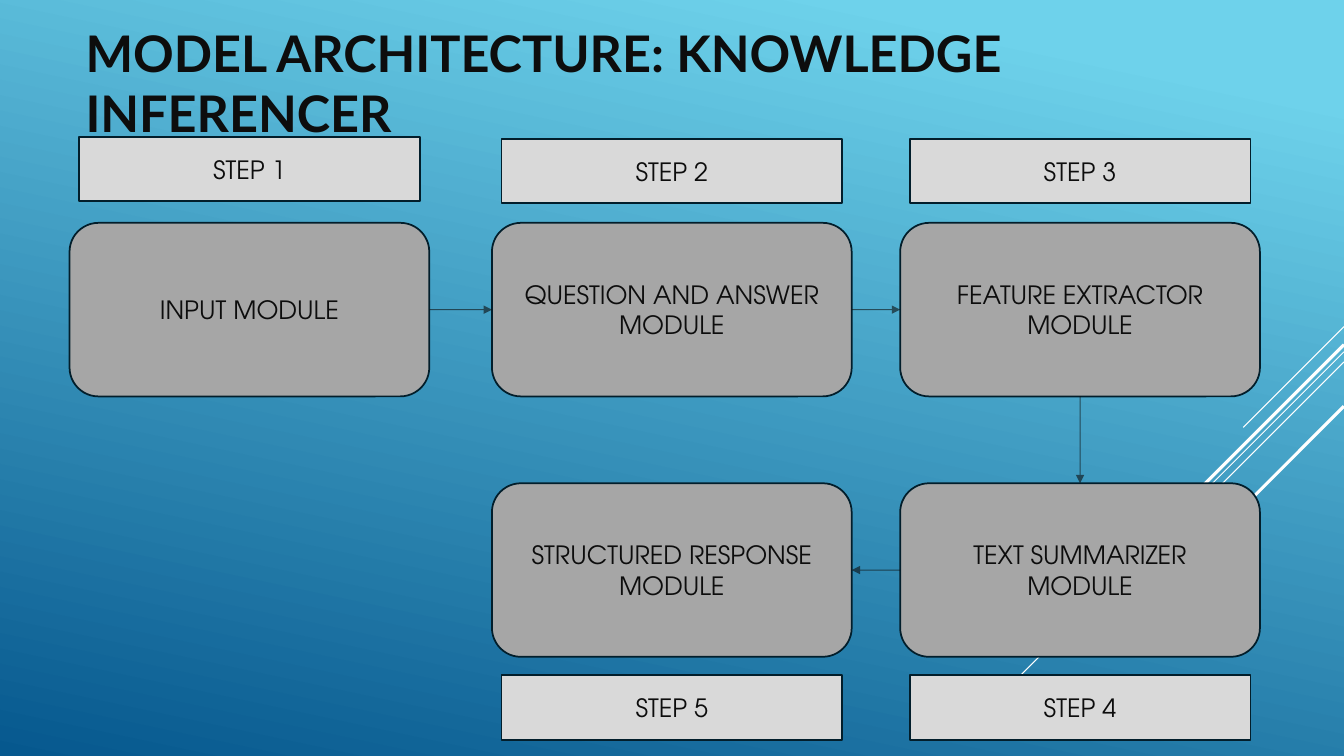
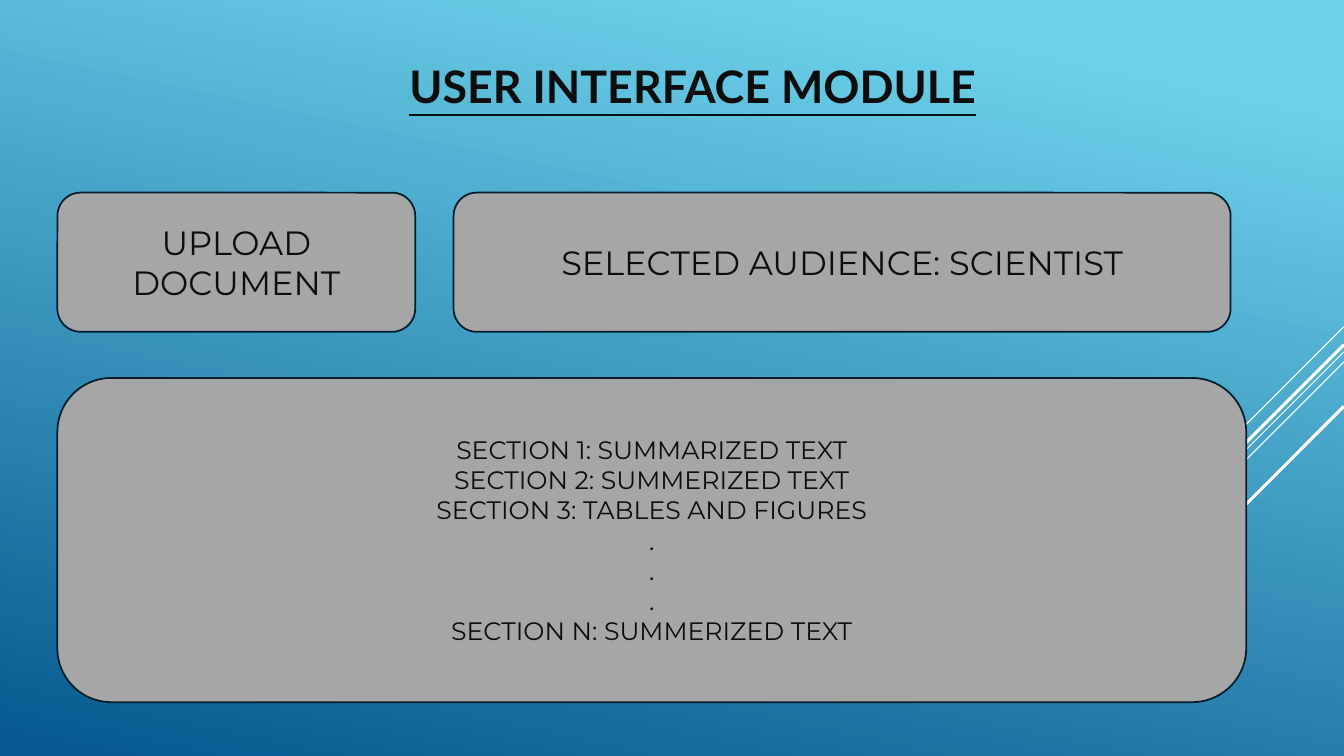
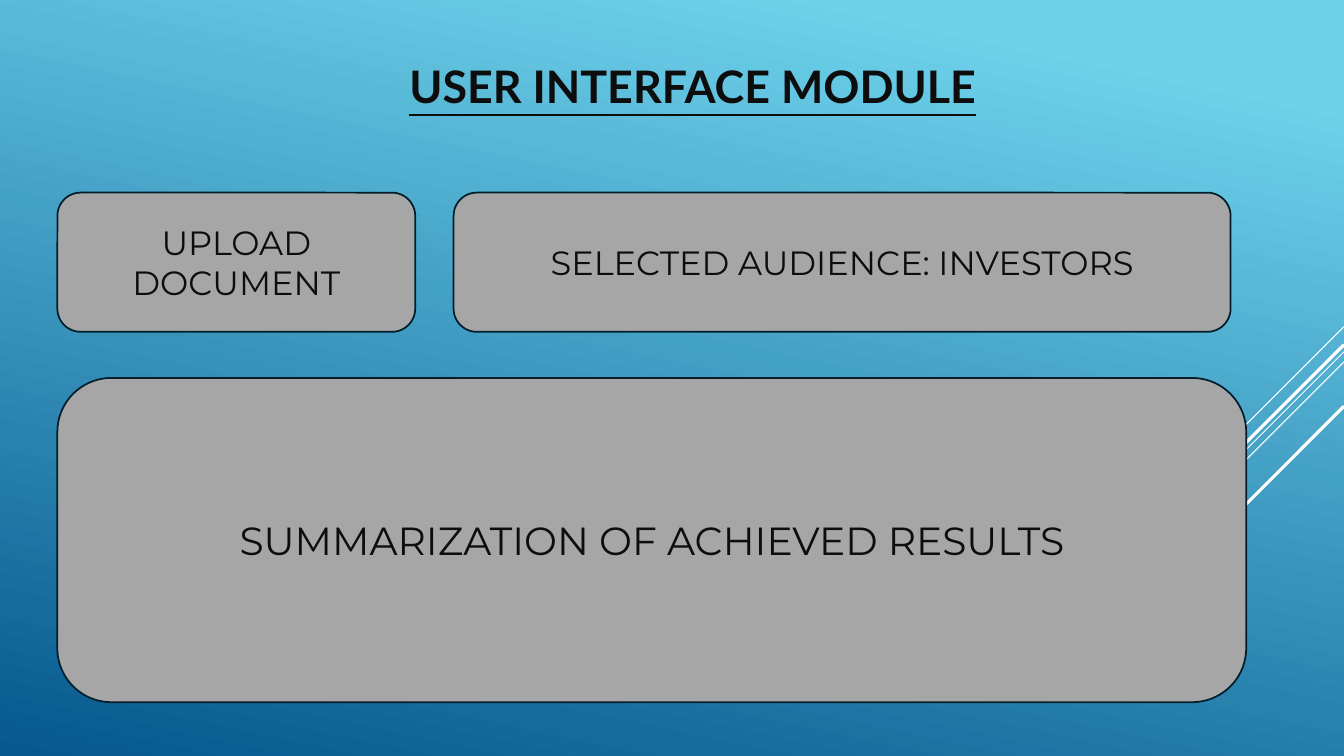
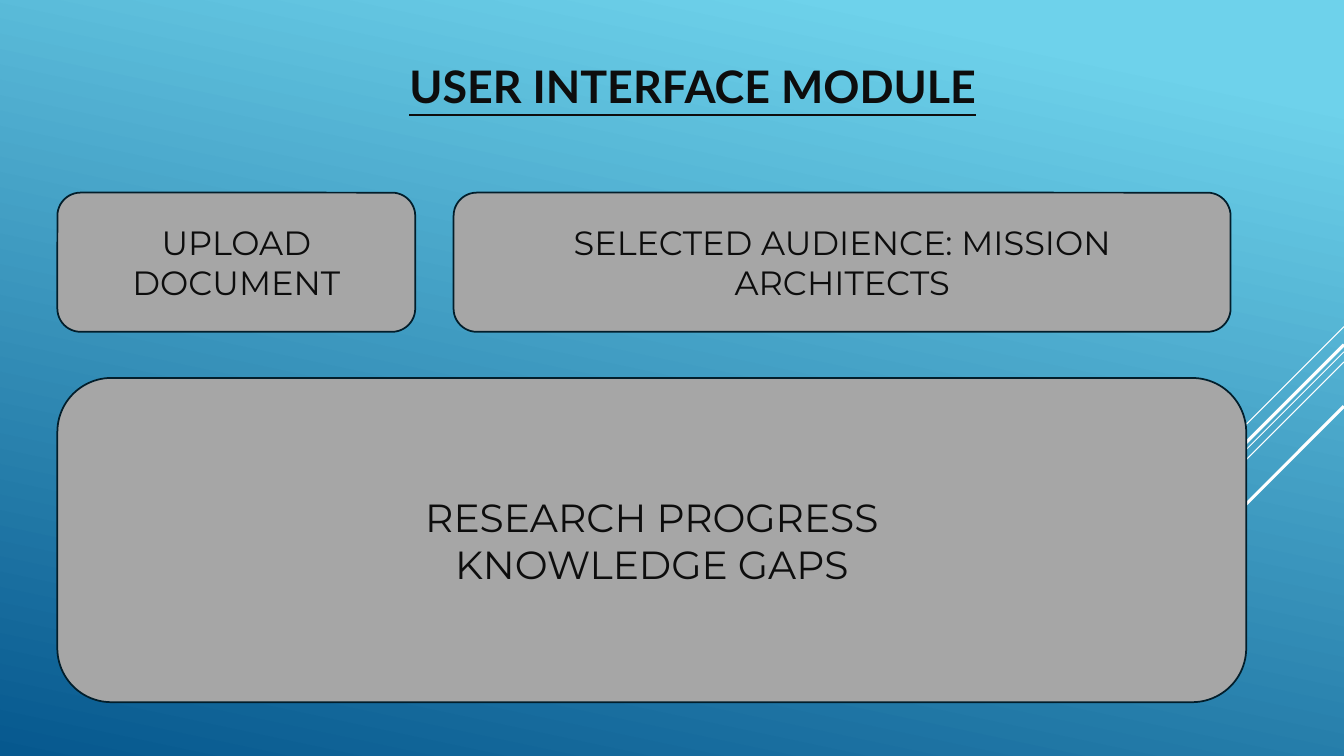
from collections import namedtuple

from lxml.etree import SubElement
from pptx import Presentation
from pptx.dml.color import RGBColor
from pptx.enum.shapes import MSO_CONNECTOR, MSO_SHAPE
from pptx.enum.text import MSO_ANCHOR, PP_ALIGN
from pptx.oxml.ns import qn
from pptx.util import Pt

# Shared look
SKY = RGBColor(0x6E, 0xD2, 0xEB)
DEEP_BLUE = RGBColor(0x06, 0x58, 0x8E)
WHITE = RGBColor(0xFF, 0xFF, 0xFF)
INK = RGBColor(0x0D, 0x0D, 0x0D)
OUTLINE = RGBColor(0x02, 0x1E, 0x2B)
PANEL_GREY = RGBColor(0xA6, 0xA6, 0xA6)
LABEL_GREY = RGBColor(0xD9, 0xD9, 0xD9)
TITLE_FONT = "Lato"
FLOW_FONT = "TeX Gyre Adventor"
SCREEN_FONT = "Montserrat"

Box = namedtuple("Box", "left top width height")
PAGE = Box(0, 0, 960, 540)
# Diagonal rays from the right edge: start height, reach, line width
RAYS = [(233.3, 72, 0.75), (251.3, 234.7, 0.75), (258.5, 149.3, 0.75),
        (246.2, 137.5, 2.25), (290.2, 100, 2.25)]


def points(box):
    return [Pt(length) for length in box]


def write_text(holder, text, *, size, font, align=PP_ALIGN.CENTER,
               anchor=MSO_ANCHOR.MIDDLE, bold=False, underline=False):
    """Fill a shape with one paragraph for each line of text."""
    frame = holder.text_frame
    frame.word_wrap = True
    frame.vertical_anchor = anchor
    for number, line in enumerate(text.split("\n")):
        paragraph = frame.paragraphs[0] if number == 0 else frame.add_paragraph()
        paragraph.alignment = align
        run = paragraph.add_run()
        run.text = line
        run.font.size = Pt(size)
        run.font.name = font
        run.font.bold = bold
        run.font.underline = underline
        run.font.color.rgb = INK


def add_panel(slide, box, text, *, preset=MSO_SHAPE.ROUNDED_RECTANGLE,
              fill=PANEL_GREY, **text_format):
    panel = slide.shapes.add_shape(preset, *points(box))
    panel.shadow.inherit = False
    panel.fill.solid()
    panel.fill.fore_color.rgb = fill
    panel.line.color.rgb = OUTLINE
    panel.line.width = Pt(1.25)
    write_text(panel, text, **text_format)
    return panel


def add_title(slide, box, text, **text_format):
    title = slide.shapes.add_textbox(*points(box))
    write_text(title, text, font=TITLE_FONT, bold=True,
               anchor=MSO_ANCHOR.TOP, **text_format)


def add_line(slide, start, end, color, width):
    line = slide.shapes.add_connector(
        MSO_CONNECTOR.STRAIGHT, *points(start + end))
    line.line.color.rgb = color
    line.line.width = Pt(width)
    SubElement(line._element.spPr, qn("a:effectLst"))
    return line


def add_arrow(slide, source, source_site, target, target_site):
    arrow = add_line(slide, (0, 0), (0, 0), INK, 0.75)
    arrow.begin_connect(source, source_site)
    arrow.end_connect(target, target_site)
    outline = arrow.line._get_or_add_ln()
    SubElement(outline.find(".//" + qn("a:srgbClr")), qn("a:alpha"), val="60000")
    SubElement(outline, qn("a:tailEnd"), type="triangle")


def set_background(master):
    fill = master.background.fill
    fill.gradient()
    fill.gradient_angle = 258
    for stop, color, position in zip(fill.gradient_stops,
                                     (SKY, DEEP_BLUE), (0.1, 1)):
        stop.color.rgb = color
        stop.position = position


def add_page(deck):
    slide = deck.slides.add_slide(deck.slide_layouts[6])
    right = PAGE.left + PAGE.width
    for top, reach, width in RAYS:
        add_line(slide, (right, top), (right - reach, top + reach), WHITE, width)
    return slide


# Flow of modules: step number, name, column, row
MODULES = [(1, "INPUT MODULE", 0, 0),
           (2, "QUESTION AND ANSWER MODULE", 1, 0),
           (3, "FEATURE EXTRACTOR MODULE", 2, 0),
           (4, "TEXT SUMMARIZER MODULE", 2, 1),
           (5, "STRUCTURED RESPONSE MODULE", 1, 1)]
TOP, LEFT, BOTTOM, RIGHT = range(4)  # connection sites of a box
FLOW_EXITS = [(RIGHT, LEFT), (RIGHT, LEFT), (BOTTOM, TOP), (LEFT, RIGHT)]


def add_flow(slide, area):
    columns = (0, 301.7, 593.3)
    module_width, module_height = 257, 124
    label_width, label_height = 243.4, 46
    label_tops = (0, area.height - label_height)
    module_tops = (60, 246)
    text_format = dict(size=18, font=FLOW_FONT)

    modules = [add_panel(slide, Box(area.left + columns[column],
                                    area.top + module_tops[row],
                                    module_width, module_height),
                         name, **text_format)
               for _, name, column, row in MODULES]
    for source, target, sites in zip(modules, modules[1:], FLOW_EXITS):
        add_arrow(slide, source, sites[0], target, sites[1])
    # Step labels, centred over or under their modules
    inset = (module_width - label_width) / 2
    for step, _, column, row in MODULES:
        rise = 1.4 if step == 1 else 0
        add_panel(slide, Box(area.left + columns[column] + inset,
                             area.top + label_tops[row] - rise,
                             label_width, label_height),
                  f"STEP {step}", preset=MSO_SHAPE.RECTANGLE,
                  fill=LABEL_GREY, **text_format)


def add_screen(slide, area, audience, results, results_size):
    """Upload button and audience on top, results below."""
    bar_height, upload_width = 99.4, 255.6
    results_top = 132.4
    audience_left, audience_width = 283, 555
    add_panel(slide, Box(area.left, area.top, upload_width, bar_height),
              "UPLOAD DOCUMENT", size=24, font=SCREEN_FONT)
    add_panel(slide, Box(area.left, area.top + results_top, area.width,
                         area.height - results_top),
              results, size=results_size, font=SCREEN_FONT)
    add_panel(slide, Box(area.left + audience_left, area.top,
                         audience_width, bar_height),
              f"SELECTED AUDIENCE: {audience}", size=24, font=SCREEN_FONT)


SCREENS = [
    ("SCIENTIST",
     "SECTION 1: SUMMARIZED TEXT\nSECTION 2: SUMMERIZED TEXT\n"
     "SECTION 3: TABLES AND FIGURES\n.\n.\n.\nSECTION N: SUMMERIZED TEXT", 18),
    ("INVESTORS", "SUMMARIZATION OF ACHIEVED RESULTS", 28),
    ("MISSION ARCHITECTS", "RESEARCH PROGRESS\nKNOWLEDGE GAPS", 28),
]


def main():
    deck = Presentation()
    deck.slide_width, deck.slide_height = Pt(PAGE.width), Pt(PAGE.height)
    set_background(deck.slide_master)

    # Architecture
    slide = add_page(deck)
    add_flow(slide, Box(49.7, 99.2, 850.3, 429.2))
    add_title(slide, Box(54, 12.2, 869.8, 71.3),
              "MODEL ARCHITECTURE: KNOWLEDGE INFERENCER",
              size=36, align=PP_ALIGN.LEFT)

    # One user interface slide for each audience
    for audience, results, results_size in SCREENS:
        slide = add_page(deck)
        add_title(slide, Box(74.9, 38.2, 840.2, 46), "USER INTERFACE MODULE",
                  size=32, underline=True)
        add_screen(slide, Box(41, 137.6, 849.2, 364),
                   audience, results, results_size)

    deck.save("out.pptx")


if __name__ == "__main__":
    main()
